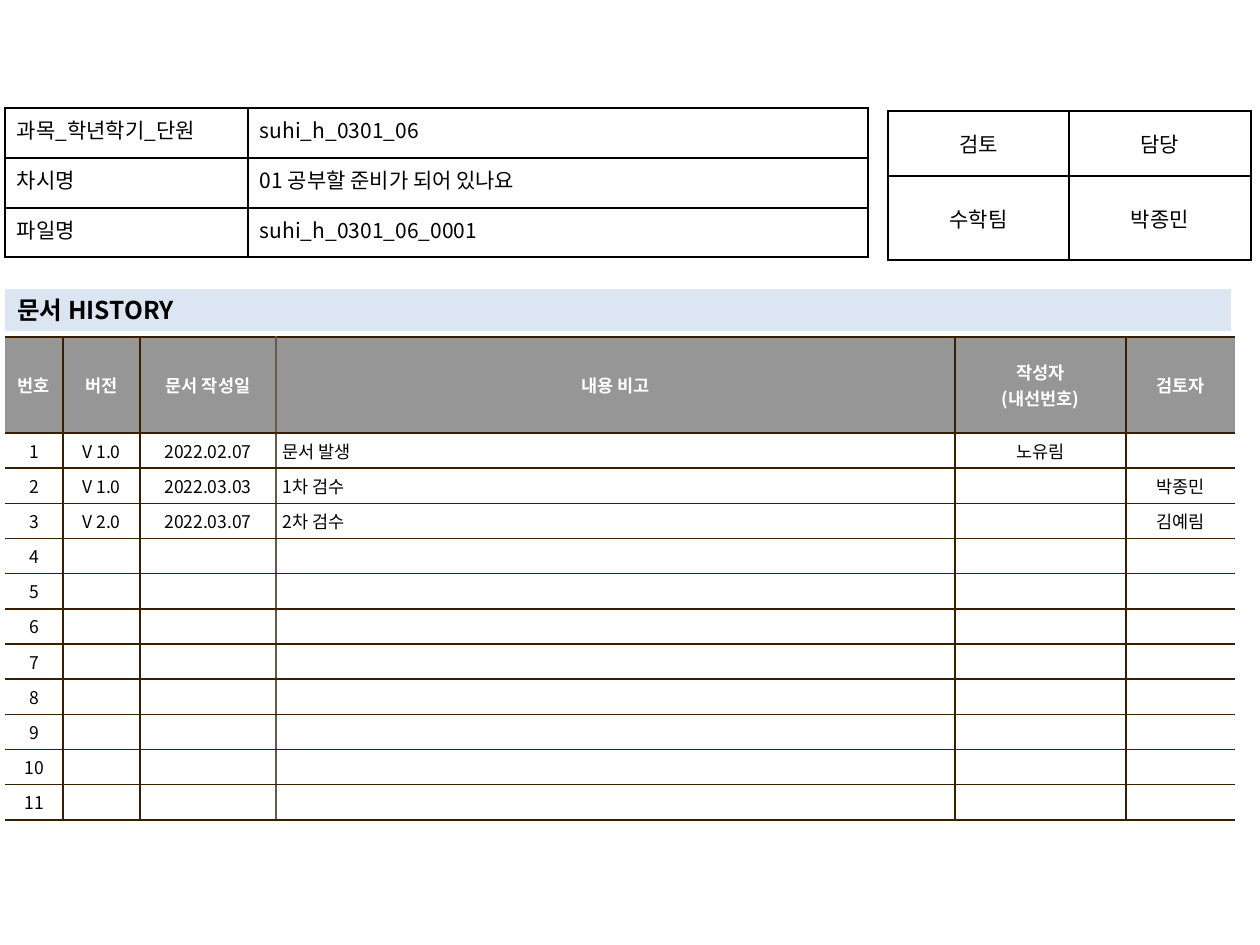
from lxml import etree
from pptx import Presentation
from pptx.dml.color import RGBColor
from pptx.enum.shapes import MSO_SHAPE
from pptx.enum.text import MSO_ANCHOR, PP_ALIGN
from pptx.oxml.ns import qn
from pptx.util import Pt

RECT = MSO_SHAPE.RECTANGLE
TOP, MIDDLE = MSO_ANCHOR.TOP, MSO_ANCHOR.MIDDLE
LEFT, CENTER, JUSTIFY = PP_ALIGN.LEFT, PP_ALIGN.CENTER, PP_ALIGN.JUSTIFY

FONT = "Noto Sans CJK KR"
COLORS = {
    "black": "000000",
    "white": "FFFFFF",
    "gray": "969696",
    "blue": "DCE6F2",
    "brown": "362000",
    "taupe": "645B4C",
}
ROWS = 11
HEADS = ["번호", "버전", "문서 작성일", "내용 비고", "작성자\n(내선번호)", "검토자"]
LOG = [
    ["V 1.0", "2022.02.07", "문서 발생", "노유림", ""],
    ["V 1.0", "2022.03.03", "1차 검수", "", "박종민"],
    ["V 2.0", "2022.03.07", "2차 검수", "", "김예림"],
]


def px(n):
    return round(n * 914400 / 126)


def rgb(name):
    return RGBColor.from_string(COLORS[name])


def write(frame, text, size=12, color="black", bold=False, align=LEFT):
    frame.word_wrap = True
    for i, line in enumerate(text.split("\n")):
        para = frame.paragraphs[0] if i == 0 else frame.add_paragraph()
        para.alignment = align
        if not line:
            # An empty cell keeps the text size, so its row stays low
            para._p.get_or_add_endParaRPr().set("sz", str(size * 100))
            continue
        run = para.add_run()
        run.text = line
        font = run.font
        font.name, font.size, font.bold = FONT, Pt(size), bold
        font.color.rgb = rgb(color)
        east = etree.SubElement(font._element, qn("a:ea"))
        east.set("typeface", FONT)


def border(cell, **sides):
    props = cell._tc.get_or_add_tcPr()
    for i, side in enumerate("LRTB"):
        color = sides.get(side)
        line = etree.Element(qn("a:ln" + side), w=str(Pt(1) if color else 0))
        if color:
            fill = etree.SubElement(line, qn("a:solidFill"))
            etree.SubElement(fill, qn("a:srgbClr"), val=COLORS[color])
        else:
            etree.SubElement(line, qn("a:noFill"))
        props.insert(i, line)


def grid(slide, x, y, cols, rows):
    frame = slide.shapes.add_table(
        len(rows), len(cols), px(x), px(y), px(sum(cols)), px(sum(rows)))
    table = frame.table
    table.first_row = table.horz_banding = False
    for col, width in zip(table.columns, cols):
        col.width = px(width)
    for row, height in zip(table.rows, rows):
        row.height = px(height)
    return table


def put(cell, text, fill=None, anchor=MIDDLE, inset=(12, 6), **style):
    if fill:
        cell.fill.solid()
        cell.fill.fore_color.rgb = rgb(fill)
    else:
        cell.fill.background()
    cell.vertical_anchor = anchor
    cell.margin_left = cell.margin_right = px(inset[0])
    cell.margin_top = cell.margin_bottom = px(inset[1])
    write(cell.text_frame, text, **style)


def boxed(slide, x, y, cols, rows, data, aligns, anchor):
    table = grid(slide, x, y, cols, rows)
    for r, line in enumerate(data):
        for c, text in enumerate(line):
            cell = table.cell(r, c)
            put(cell, text, anchor=anchor, align=aligns[c])
            border(cell, **dict.fromkeys("LRTB", "black"))


def banner(slide, x, y, w, h, text):
    bar = slide.shapes.add_shape(RECT, px(x), px(y), px(w), px(h))
    bar.shadow.inherit = False
    bar.fill.solid()
    bar.fill.fore_color.rgb = rgb("blue")
    bar.line.fill.background()
    bar.text_frame.vertical_anchor = TOP
    write(bar.text_frame, text, size=14, bold=True)


def history(slide, x, y, cols):
    # Body rows share 343 px as evenly as whole pixels allow
    ends = [343 * i // ROWS for i in range(ROWS + 1)]
    rows = [96] + [b - a for a, b in zip(ends, ends[1:])]
    blank = [[""] * 5] * (ROWS - len(LOG))
    data = [HEADS] + [[str(i), *line] for i, line in enumerate(LOG + blank, 1)]
    # Vertical rules: open at both ends, paler before the notes column
    rules = [None, "brown", "brown", "taupe", "brown", "brown", None]
    table = grid(slide, x, y, cols, rows)
    for r, line in enumerate(data):
        head = r == 0
        for c, text in enumerate(line):
            cell = table.cell(r, c)
            put(cell, text, fill="gray" if head else "white", inset=(7, 5),
                size=10, color="white" if head else "black", bold=head,
                align=LEFT if c == 3 and not head else CENTER)
            border(cell, L=rules[c], R=rules[c + 1], T="brown", B="brown")


def main():
    deck = Presentation()
    deck.slide_width, deck.slide_height = px(1260), px(945)
    slide = deck.slides.add_slide(deck.slide_layouts[6])

    # Sign-off box
    boxed(slide, 888, 111, [181, 182], [65, 84],
          [["검토", "담당"], ["수학팀", "박종민"]], [CENTER, CENTER], MIDDLE)

    # Document history
    banner(slide, 5, 289, 1226, 42, "문서 HISTORY")
    history(slide, 5, 337, [58, 77, 136, 679, 171, 109])

    # Document details
    boxed(slide, 5, 108, [243, 620], [50, 50, 49],
          [["과목_학년학기_단원", "suhi_h_0301_06"],
           ["차시명", "01 공부할 준비가 되어 있나요"],
           ["파일명", "suhi_h_0301_06_0001"]], [JUSTIFY, LEFT], TOP)

    deck.save("out.pptx")


if __name__ == "__main__":
    main()
